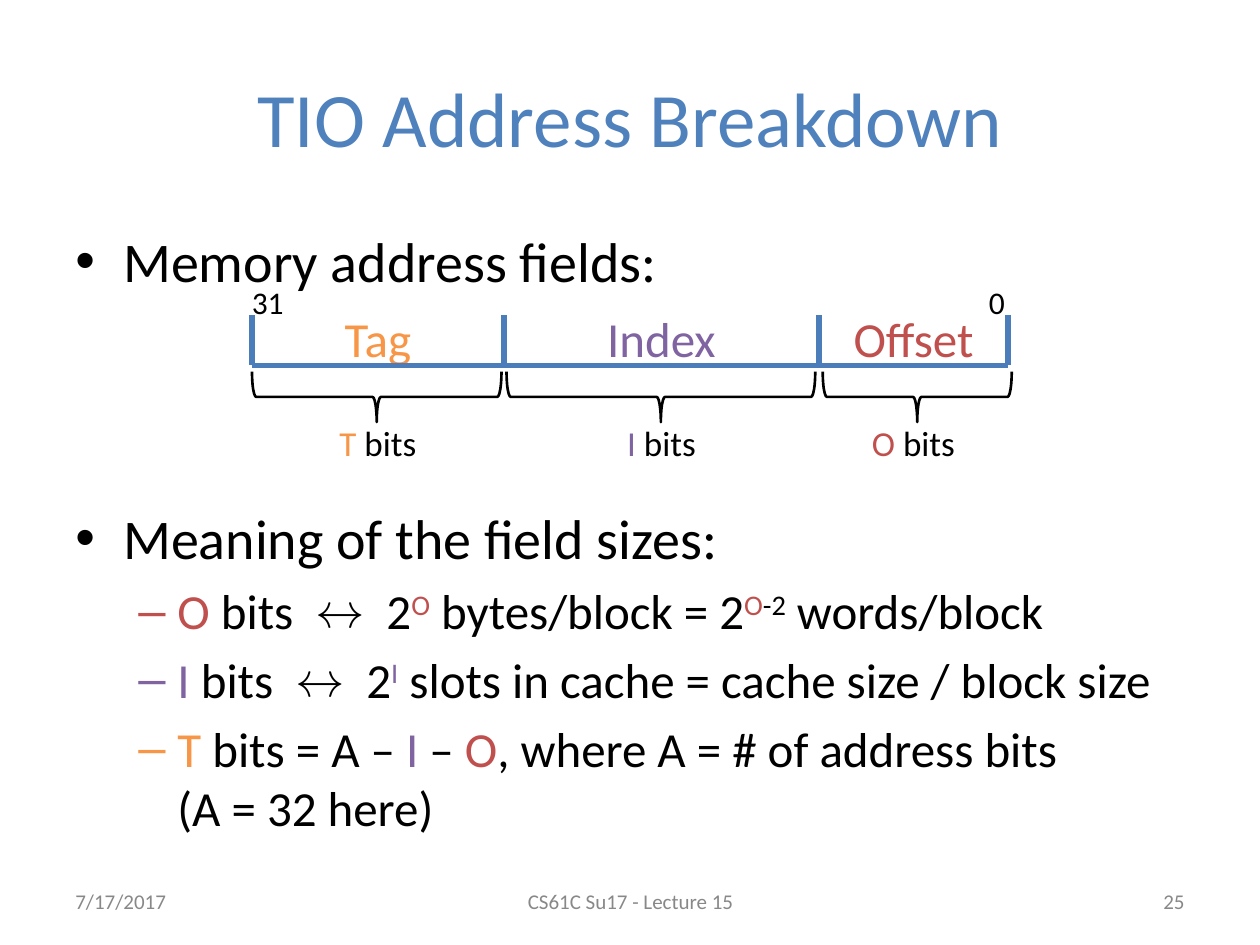
from lxml.etree import SubElement
from pptx import Presentation
from pptx.dml.color import RGBColor
from pptx.enum.shapes import MSO_CONNECTOR, MSO_SHAPE
from pptx.enum.text import MSO_ANCHOR, PP_ALIGN
from pptx.oxml.ns import qn
from pptx.util import Emu, Pt

PX = 9144  # 100 px to the inch
FONT = "Calibri"
ARROW_FONT = "Roboto"
BLACK = RGBColor(0x00, 0x00, 0x00)
GRAY = RGBColor(0x88, 0x88, 0x88)
TITLE_BLUE = RGBColor(0x4F, 0x81, 0xBD)
RULE_BLUE = RGBColor(0x4A, 0x7D, 0xBA)
ORANGE = RGBColor(0xF7, 0x96, 0x46)
PURPLE = RGBColor(0x80, 0x64, 0xA2)
RED = RGBColor(0xC0, 0x50, 0x4D)

BAR_TOP, BAR_BOTTOM = 250, 290
# name, letter, colour, left, width, brace left, brace width
FIELDS = [
    ("Tag", "T", ORANGE, 200, 200, 200, 198),
    ("Index", "I", PURPLE, 400, 250, 402, 245),
    ("Offset", "O", RED, 650, 150, 653, 150),
]
FOOTER = [
    ("7/17/2017", 50, 233, PP_ALIGN.LEFT),
    ("CS61C Su17 - Lecture 15", 342, 317, PP_ALIGN.CENTER),
    ("25", 717, 233, PP_ALIGN.RIGHT),
]
# Each run: text, colour, then optionally "super" or "arrow"
SIZE_RULES = [
    [("O", RED), (" bits  ", BLACK), ("↔", BLACK, "arrow"), ("  2", BLACK),
     ("O", RED, "super"), (" bytes/block = 2", BLACK), ("O", RED, "super"),
     ("-2", BLACK, "super"), (" words/block", BLACK)],
    [("I", PURPLE), (" bits  ", BLACK), ("↔", BLACK, "arrow"), ("  2", BLACK),
     ("I", PURPLE, "super"),
     (" slots in cache = cache size / block size", BLACK)],
    [("T", ORANGE), (" bits = A – ", BLACK), ("I", PURPLE), (" – ", BLACK),
     ("O", RED), (", where A = # of address bits ", BLACK),
     ("(A = 32 here)", BLACK, "break")],
]


def px(*lengths):
    return [Emu(length * PX) for length in lengths]


def add_run(paragraph, size, text, color, role=None):
    if role == "break":
        paragraph.add_line_break()
    run = paragraph.add_run()
    run.text = text
    run.font.name = ARROW_FONT if role == "arrow" else FONT
    run.font.size = Pt(size)
    run.font.color.rgb = color
    if role == "super":
        run.font._element.set("baseline", "30000")


def add_text(slide, box, size, runs, align=PP_ALIGN.LEFT, anchor=MSO_ANCHOR.TOP):
    frame = slide.shapes.add_textbox(*px(*box)).text_frame
    frame.word_wrap = True
    frame.vertical_anchor = anchor
    paragraph = frame.paragraphs[0]
    paragraph.alignment = align
    for run in runs:
        add_run(paragraph, size, *run)


def add_bullet(paragraph, size, runs, mark, mark_color, margin, hang, before, level=0):
    paragraph.level = level
    paragraph.space_before = Pt(before)
    props = paragraph._p.get_or_add_pPr()
    props.set("marL", str(margin * PX))
    props.set("indent", str(-hang * PX))
    color = SubElement(props, qn("a:buClr"))
    SubElement(color, qn("a:srgbClr"), val=str(mark_color))
    SubElement(props, qn("a:buFont"), typeface="Arial")
    SubElement(props, qn("a:buChar"), char=mark)
    for run in runs:
        add_run(paragraph, size, *run)


def add_line(slide, x1, y1, x2, y2):
    line = slide.shapes.add_connector(MSO_CONNECTOR.STRAIGHT, *px(x1, y1, x2, y2))
    line.line.color.rgb = RULE_BLUE
    line.line.width = Pt(3)
    SubElement(line._element.spPr, qn("a:effectLst"))


def add_brace(slide, left, width, top=295, depth=40):
    """Add a brace under a field, as a left brace turned to point down."""
    x = left + (width - depth) / 2
    y = top + (depth - width) / 2
    box = [Emu(round(length * PX)) for length in (x, y, depth, width)]
    brace = slide.shapes.add_shape(MSO_SHAPE.LEFT_BRACE, *box)
    brace.rotation = 270
    brace.adjustments[0] = 0.083
    brace.shadow.inherit = False
    brace.fill.background()
    brace.line.color.rgb = BLACK
    brace.line.width = Pt(1.5)


def format_title(slide):
    title = slide.shapes.title
    title.left, title.top, title.width, title.height = px(50, 30, 900, 125)
    title.text_frame.vertical_anchor = MSO_ANCHOR.MIDDLE
    paragraph = title.text_frame.paragraphs[0]
    paragraph.alignment = PP_ALIGN.CENTER
    add_run(paragraph, 44, "TIO Address Breakdown", TITLE_BLUE)


def add_body(slide):
    frame = slide.shapes.add_textbox(*px(50, 175, 900, 540)).text_frame
    frame.word_wrap = True
    add_bullet(frame.paragraphs[0], 32, [("Memory address fields:", BLACK)],
               "•", BLACK, 38, 38, 0)
    add_bullet(frame.add_paragraph(), 32, [("Meaning of the field sizes:", BLACK)],
               "•", BLACK, 38, 38, 120)
    for runs in SIZE_RULES:
        add_bullet(frame.add_paragraph(), 28, runs, "–", runs[0][1],
                   81, 31, 5.6, level=1)


def add_address_diagram(slide):
    for name, letter, color, left, width, brace_left, brace_width in FIELDS:
        add_text(slide, (left, 240, width, 50), 28, [(name, color)], PP_ALIGN.CENTER)
        add_line(slide, left, BAR_TOP, left, BAR_BOTTOM)
        add_brace(slide, brace_left, brace_width)
        add_text(slide, (left, 330, width, 44), 20,
                 [(letter, color), (" bits", BLACK)], PP_ALIGN.CENTER)
    add_line(slide, 800, BAR_TOP, 800, BAR_BOTTOM)
    add_line(slide, 200, BAR_BOTTOM, 800, BAR_BOTTOM)
    add_text(slide, (190, 220, 46, 40), 18, [("31", BLACK)])
    add_text(slide, (775, 220, 33, 40), 18, [("0", BLACK)])


def main():
    deck = Presentation()
    deck.slide_width, deck.slide_height = px(1000, 750)
    slide = deck.slides.add_slide(deck.slide_layouts[5])
    format_title(slide)
    add_body(slide)
    for text, left, width, align in FOOTER:
        add_text(slide, (left, 695, width, 40), 12, [(text, GRAY)],
                 align, MSO_ANCHOR.MIDDLE)
    add_address_diagram(slide)
    deck.save("out.pptx")


if __name__ == "__main__":
    main()
